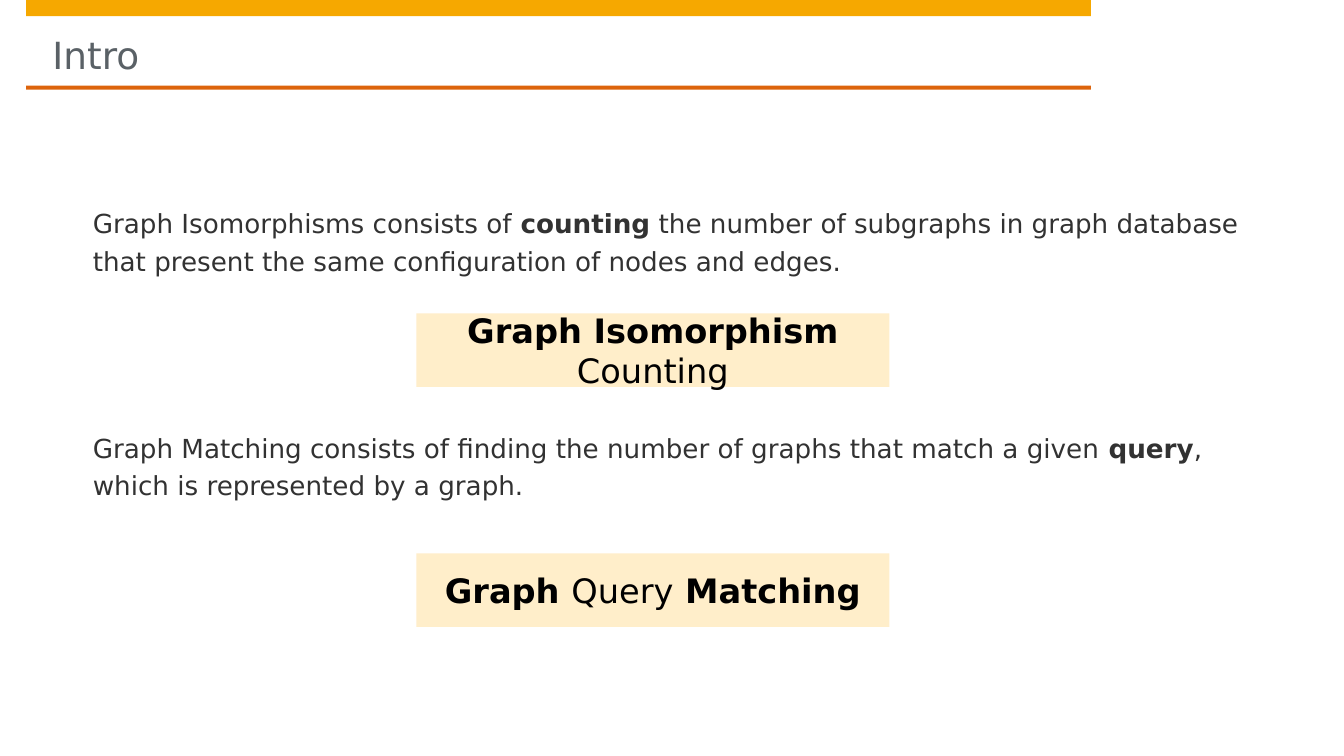
from dataclasses import dataclass

from pptx import Presentation
from pptx.dml.color import RGBColor
from pptx.enum.shapes import MSO_SHAPE
from pptx.enum.text import MSO_ANCHOR, MSO_AUTO_SIZE, PP_ALIGN
from pptx.oxml import parse_xml
from pptx.oxml.ns import nsdecls
from pptx.util import Emu, Pt

EMU_PER_PX = 9144
FONT = "DejaVu Sans"
LINE_HEIGHT = 26.7

Runs = list[tuple[str, bool]]


@dataclass(frozen=True)
class Box:
    left: int
    top: int
    width: int
    height: int


@dataclass(frozen=True)
class Panel:
    box: Box
    fill: str
    runs: Runs


PANELS = [
    Panel(Box(26, 0, 1056, 16), "F6A800", []),
    Panel(Box(26, 85, 1056, 4), "DD640C", []),
    Panel(Box(413, 311, 469, 73), "FFEECA",
          [("Graph Isomorphism ", True), ("Counting", False)]),
    Panel(Box(413, 549, 469, 73), "FFEECA",
          [("Graph ", True), ("Query", False), (" Matching", True)]),
]

DEFINITIONS: list[Runs] = [
    [("Graph Isomorphisms consists of ", False), ("counting", True),
     (" the number of subgraphs in graph database that present the same "
      "configuration of nodes and edges.", False)],
    [("Graph Matching consists of finding the number of graphs that match "
      "a given ", False), ("query", True),
     (", which is represented by a graph.", False)],
]


def px(length: int) -> Emu:
    """Turn a length in px into EMU."""
    return Emu(length * EMU_PER_PX)


def colour(value: str) -> RGBColor:
    """Turn a hex string into a colour."""
    return RGBColor.from_string(value)


def write(paragraph, runs: Runs, *, size: float, ink: str, align=PP_ALIGN.LEFT) -> None:
    """Write formatted runs into a paragraph."""
    paragraph.alignment = align
    for text, bold in runs:
        run = paragraph.add_run()
        run.text = text
        run.font.name = FONT
        run.font.size = Pt(size)
        run.font.bold = bold
        run.font.color.rgb = colour(ink)


def place(placeholder, box: Box, top_inset: int = 0):
    """Move a placeholder and return its text frame, anchored at the top."""
    placeholder.left, placeholder.top = px(box.left), px(box.top)
    placeholder.width, placeholder.height = px(box.width), px(box.height)
    frame = placeholder.text_frame
    frame.margin_left = frame.margin_right = frame.margin_bottom = 0
    frame.margin_top = px(top_inset)
    frame.vertical_anchor = MSO_ANCHOR.TOP
    frame.auto_size = MSO_AUTO_SIZE.NONE
    frame.word_wrap = True
    return frame


def draw_panel(slide, panel: Panel) -> None:
    """Draw a filled rectangle with its centred text."""
    box = panel.box
    shape = slide.shapes.add_shape(
        MSO_SHAPE.RECTANGLE, px(box.left), px(box.top), px(box.width), px(box.height))
    shape.shadow.inherit = False
    shape.fill.solid()
    shape.fill.fore_color.rgb = colour(panel.fill)
    shape.line.fill.background()
    if panel.runs:
        frame = shape.text_frame
        frame.word_wrap = True
        frame.vertical_anchor = MSO_ANCHOR.MIDDLE
        write(frame.paragraphs[0], panel.runs, size=24, ink="000000",
              align=PP_ALIGN.CENTER)


def write_definitions(frame) -> None:
    """Write the definitions unbulleted, four lines apart."""
    for index, runs in enumerate(DEFINITIONS):
        paragraph = frame.add_paragraph() if index else frame.paragraphs[0]
        paragraph.line_spacing = Pt(LINE_HEIGHT)
        paragraph.space_before = Pt(4 * LINE_HEIGHT * index)
        write(paragraph, runs, size=18.7, ink="323232")
        properties = paragraph._p.get_or_add_pPr()
        properties.set("marL", "0")
        properties.set("indent", "0")
        properties.append(parse_xml(f"<a:buNone {nsdecls('a')}/>"))


def main() -> None:
    """Build the slide and save it."""
    presentation = Presentation()
    presentation.slide_width, presentation.slide_height = px(1333), px(750)
    slide = presentation.slides.add_slide(presentation.slide_layouts[1])
    title = place(slide.shapes.title, Box(52, 16, 1003, 61), top_inset=16)
    write(title.paragraphs[0], [("Intro", False)], size=26.7, ink="5A6166")
    write_definitions(place(slide.placeholders[1], Box(92, 200, 1150, 299)))
    for panel in PANELS:
        draw_panel(slide, panel)
    presentation.save("out.pptx")


if __name__ == "__main__":
    main()
